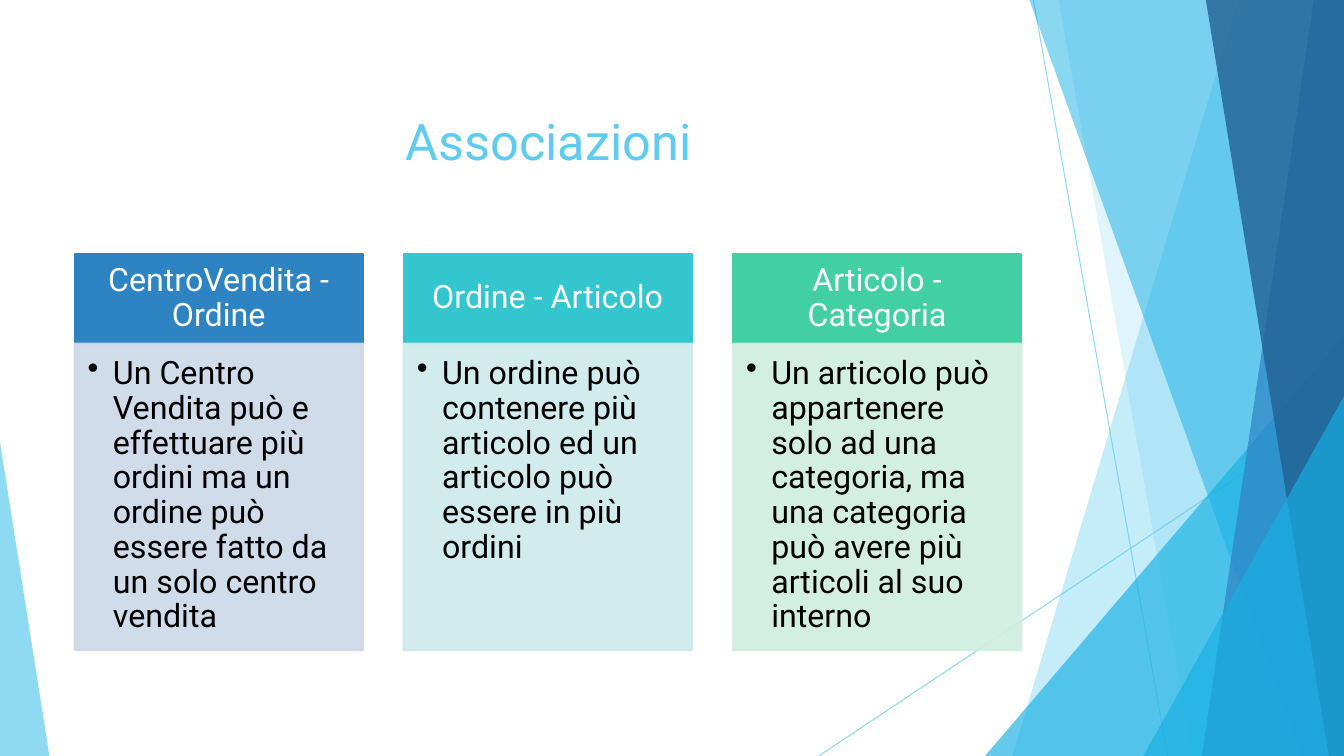
from lxml import etree
from pptx import Presentation
from pptx.dml.color import RGBColor
from pptx.enum.shapes import MSO_CONNECTOR, MSO_SHAPE
from pptx.enum.text import MSO_ANCHOR, PP_ALIGN
from pptx.oxml.ns import qn
from pptx.util import Inches, Pt

STRAIGHT = MSO_CONNECTOR.STRAIGHT
RECTANGLE, TRIANGLE = MSO_SHAPE.RECTANGLE, MSO_SHAPE.ISOSCELES_TRIANGLE
TOP, MIDDLE = MSO_ANCHOR.TOP, MSO_ANCHOR.MIDDLE
LEFT, CENTER = PP_ALIGN.LEFT, PP_ALIGN.CENTER

# Content
TITLE = "Associazioni"
CARDS = [
    ("CentroVendita - Ordine",
     "Un Centro Vendita può e\veffettuare più ordini ma un ordine può "
     "essere fatto da un solo centro vendita", "blue", "pale_blue"),
    ("Ordine - Articolo",
     "Un ordine può contenere più articolo ed un articolo può essere in più "
     "ordini", "teal", "pale_teal"),
    ("Articolo - Categoria",
     "Un articolo può appartenere solo ad una categoria, ma una categoria "
     "può avere più articoli al suo interno", "green", "pale_green"),
]

# Style
FONT = "Roboto"
COLORS = {
    "sky": "5FCBEF", "cyan": "17B0E4", "blue": "2E83C3", "navy": "226292",
    "teal": "34C6CE", "green": "42D0A2", "pale_blue": "CDD9E9",
    "pale_teal": "CEE9EC", "pale_green": "CFEEE0",
    "white": "FFFFFF", "black": "000000",
}
WIDTH, HEIGHT = 13.33, 7.5

# Decoration, back to front
RAYS = [((10.25, 0), (11.58, HEIGHT)), ((WIDTH, 4.03), (8.12, HEIGHT))]
# Bands reach the right edge: (top left x, bottom left x, colour, opacity)
# Triangles: (left, top, width, apex, colour, opacity), all standing on the bottom edge
FACETS = [
    ("band", 12.28, 10.04, "sky", 36),
    ("band", 10.5, 11.83, "sky", 20),
    ("triangle", 9.77, 3.33, 3.56, 1, "cyan", 66),
    ("band", 10.21, 12.91, "cyan", 50),
    ("band", 13.03, 11.92, "blue", 70),
    ("band", 11.96, 13.18, "navy", 80),
    ("triangle", 11.34, 3.93, 1.99, 1, "cyan", 66),
    ("triangle", 0, 4.39, 0.49, 0, "sky", 70),
]

# Card grid
CARD_LEFT, CARD_WIDTH, CARD_STEP = 0.74, 2.86, 3.265
HEAD_TOP, HEAD_HEIGHT = 2.52, 0.88
BODY_TOP, BODY_HEIGHT = 3.41, 3.04

deck = Presentation()
deck.slide_width, deck.slide_height = Inches(WIDTH), Inches(HEIGHT)
page = deck.slides.add_slide(deck.slide_layouts[6])


def paint(color_format, name, opacity=100):
    color_format.rgb = RGBColor.from_string(COLORS[name])
    if opacity < 100:
        for color in color_format._xFill.iter(qn("a:srgbClr")):
            etree.SubElement(color, qn("a:alpha"), val=str(opacity * 1000))


def fill_shape(shape, name, opacity=100, outlined=False):
    shape.shadow.inherit = False
    shape.fill.solid()
    paint(shape.fill.fore_color, name, opacity)
    if outlined:
        shape.line.width = Pt(1.5)
        shape.line.fill.solid()
        paint(shape.line.fill.fore_color, name, opacity)
    else:
        shape.line.fill.background()


def write(shape, text, size, color, align, anchor, insets):
    frame = shape.text_frame
    frame.word_wrap = True
    frame.vertical_anchor = anchor
    (frame.margin_left, frame.margin_top,
     frame.margin_right, frame.margin_bottom) = map(Inches, insets)
    para = frame.paragraphs[0]
    para.text = text
    para.alignment = align
    para.font.name, para.font.size = FONT, Pt(size)
    para.font.color.rgb = RGBColor.from_string(COLORS[color])
    return para


def add_bullet(para):
    properties = para._p.get_or_add_pPr()
    properties.set("marL", str(Inches(0.25)))
    properties.set("indent", str(-Inches(0.25)))
    bullet = etree.Element(qn("a:buChar"), char="•")
    properties.find(qn("a:defRPr")).addprevious(bullet)


def add_ray(start, end):
    ray = page.shapes.add_connector(STRAIGHT, *map(Inches, start + end))
    ray.line.width = Pt(0.75)
    ray.line.fill.solid()
    paint(ray.line.fill.fore_color, "sky", 70)
    etree.SubElement(ray._element.spPr, qn("a:effectLst"))


def add_band(top_x, bottom_x, color, opacity):
    builder = page.shapes.build_freeform(Inches(top_x), 0)
    corners = [(WIDTH, 0), (WIDTH, HEIGHT), (bottom_x, HEIGHT)]
    builder.add_line_segments([(Inches(x), Inches(y)) for x, y in corners], close=True)
    fill_shape(builder.convert_to_shape(), color, opacity)


def add_triangle(left, top, width, apex, color, opacity):
    shape = page.shapes.add_shape(
        TRIANGLE, *map(Inches, (left, top, width, HEIGHT - top)))
    shape.adjustments[0] = apex
    fill_shape(shape, color, opacity)


def add_panel(left, top, height, color, opacity=100):
    panel = page.shapes.add_shape(
        RECTANGLE, *map(Inches, (left, top, CARD_WIDTH, height)))
    fill_shape(panel, color, opacity, outlined=True)
    return panel


# Background decoration
for start, end in RAYS:
    add_ray(start, end)
for kind, *values in FACETS:
    (add_band if kind == "band" else add_triangle)(*values)

# Title
title_box = page.shapes.add_textbox(*map(Inches, (0.74, 0.67, 9.4, 1.44)))
write(title_box, TITLE, 36, "sky", CENTER, MIDDLE, (0.1, 0.05, 0.1, 0.05))

# Cards
for index, (heading, body, strong, pale) in enumerate(CARDS):
    left = CARD_LEFT + index * CARD_STEP
    head_panel = add_panel(left, HEAD_TOP, HEAD_HEIGHT, strong)
    head_para = write(head_panel, heading, 23, "white", CENTER, MIDDLE,
                      (0.18, 0.1, 0.18, 0.1))
    body_panel = add_panel(left, BODY_TOP, BODY_HEIGHT, pale, 90)
    body_para = write(body_panel, body, 23, "black", LEFT, TOP,
                      (0.13, 0.13, 0.18, 0.2))
    head_para.line_spacing = body_para.line_spacing = 0.9
    add_bullet(body_para)

deck.save("out.pptx")
